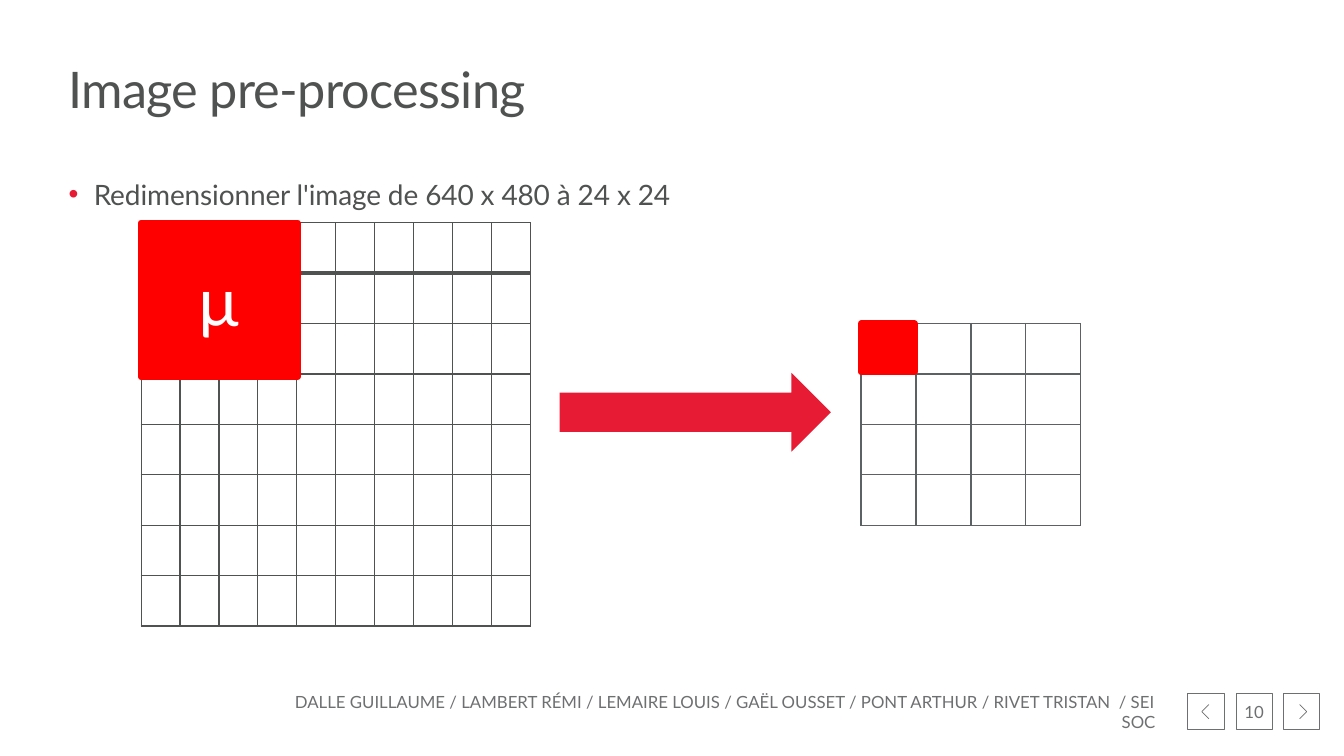
from lxml.etree import SubElement
from pptx import Presentation
from pptx.dml.color import RGBColor
from pptx.enum.shapes import MSO_SHAPE
from pptx.enum.text import MSO_ANCHOR, PP_ALIGN
from pptx.oxml.ns import qn
from pptx.util import Pt

PX = 9144  # 100 px to the inch
GREY, DARK, SLATE = "6E6F71", "505151", "5C6163"
CRIMSON, RED, WHITE = "E71B33", "FF0000", "FFFFFF"


def rgb(color):
    return RGBColor.from_string(color)


def write(s, text, size, color, align=PP_ALIGN.LEFT, anchor=MSO_ANCHOR.MIDDLE,
          inset=(0, 0), wrap=True, spacing=None, line=None, bullet=None):
    """Fill a shape with one formatted paragraph; spacing is in 1/100 pt."""
    tf = s.text_frame
    tf.word_wrap = wrap
    tf.vertical_anchor = anchor
    tf.margin_left = tf.margin_right = inset[0] * PX
    tf.margin_top = tf.margin_bottom = inset[1] * PX
    p = tf.paragraphs[0]
    p.alignment = align
    if line:
        p.line_spacing = line
    if bullet:
        pPr = p._p.get_or_add_pPr()
        pPr.set("marL", str(25 * PX))
        pPr.set("indent", str(-25 * PX))
        SubElement(SubElement(pPr, qn("a:buClr")), qn("a:srgbClr"), val=bullet)
        SubElement(pPr, qn("a:buFont"), typeface="Arial")
        SubElement(pPr, qn("a:buChar"), char="•")
    r = p.add_run()
    r.text = text
    r.font.name = "Lato"
    r.font.size = Pt(size)
    r.font.color.rgb = rgb(color)
    if spacing:
        r._r.get_or_add_rPr().set("spc", str(spacing))


prs = Presentation()
prs.slide_width, prs.slide_height = 1333 * PX, 750 * PX
shapes = prs.slides.add_slide(prs.slide_layouts[6]).shapes

# Footer and navigation
footer = shapes.add_textbox(279 * PX, 689 * PX, 880 * PX, 34 * PX)
write(footer, "DALLE GUILLAUME / LAMBERT RÉMI / LEMAIRE LOUIS / GAËL OUSSET / "
      "PONT ARTHUR / RIVET TRISTAN  / SEI SOC", 12, GREY,
      align=PP_ALIGN.RIGHT, inset=(13, 7))

buttons = []
for left in (1178, 1226, 1273):
    s = shapes.add_shape(MSO_SHAPE.RECTANGLE, left * PX, 688 * PX, 36 * PX, 36 * PX)
    s.fill.background()
    buttons.append(s)
write(buttons[1], "10", 12, GREY, align=PP_ALIGN.CENTER, wrap=False)

chevrons = []
for back, tip in ((1199, 1192), (1289, 1296)):
    builder = shapes.build_freeform(back, 699, scale=PX)
    builder.add_line_segments([(tip, 706), (back, 713)], close=False)
    s = builder.convert_to_shape()
    s.fill.background()
    chevrons.append(s)

for s in buttons + chevrons:
    s.shadow.inherit = False
    s.line.color.rgb = rgb(GREY)
    s.line.width = Pt(0.5)

# Title and body
body = shapes.add_textbox(68 * PX, 176 * PX, 1195 * PX, 489 * PX)
write(body, "Redimensionner l'image de 640 x 480 à 24 x 24", 20, DARK,
      anchor=MSO_ANCHOR.TOP, spacing=-10, bullet=CRIMSON)
title = shapes.add_textbox(68 * PX, 64 * PX, 1195 * PX, 56 * PX)
write(title, "Image pre-processing", 36, DARK, spacing=-50, line=0.86)

# Pixel grids before and after resizing
for left, top, width, rows, cols, color, heavy, fill in (
        (140, 221, 386, 8, 10, DARK, 3, WHITE),
        (854, 321, 218, 4, 4, SLATE, 2, None)):
    grid = shapes.add_table(rows, cols, left * PX, top * PX,
                            width * PX, rows * 50 * PX).table
    grid.first_row = grid.horz_banding = False
    for row in range(rows):
        for col in range(cols):
            cell = grid.cell(row, col)
            tcPr = cell._tc.get_or_add_tcPr()
            for side in "LRTB":
                under_header = (row, side) in ((0, "B"), (1, "T"))
                weight = heavy if under_header else 1
                ln = SubElement(tcPr, qn("a:ln" + side), w=str(Pt(weight)))
                SubElement(SubElement(ln, qn("a:solidFill")), qn("a:srgbClr"), val=color)
            if fill:
                cell.fill.solid()
                cell.fill.fore_color.rgb = rgb(fill)
            else:
                cell.fill.background()

# Averaged block, resulting pixel and the arrow between them
blocks = []
for kind, left, top, width, height, color in (
        (MSO_SHAPE.RECTANGLE, 140, 221, 155, 153, RED),
        (MSO_SHAPE.RECTANGLE, 854, 321, 53, 48, RED),
        (MSO_SHAPE.RIGHT_ARROW, 555, 370, 269, 78, CRIMSON)):
    s = shapes.add_shape(kind, left * PX, top * PX, width * PX, height * PX)
    s.shadow.inherit = False
    s.fill.solid()
    s.fill.fore_color.rgb = rgb(color)
    if kind == MSO_SHAPE.RECTANGLE:
        s.line.color.rgb = rgb(color)
        s.line.width = Pt(4.5)
    else:
        s.line.fill.background()
    blocks.append(s)
write(blocks[0], "µ", 48, WHITE, align=PP_ALIGN.CENTER, inset=(10, 5))

prs.save("out.pptx")
